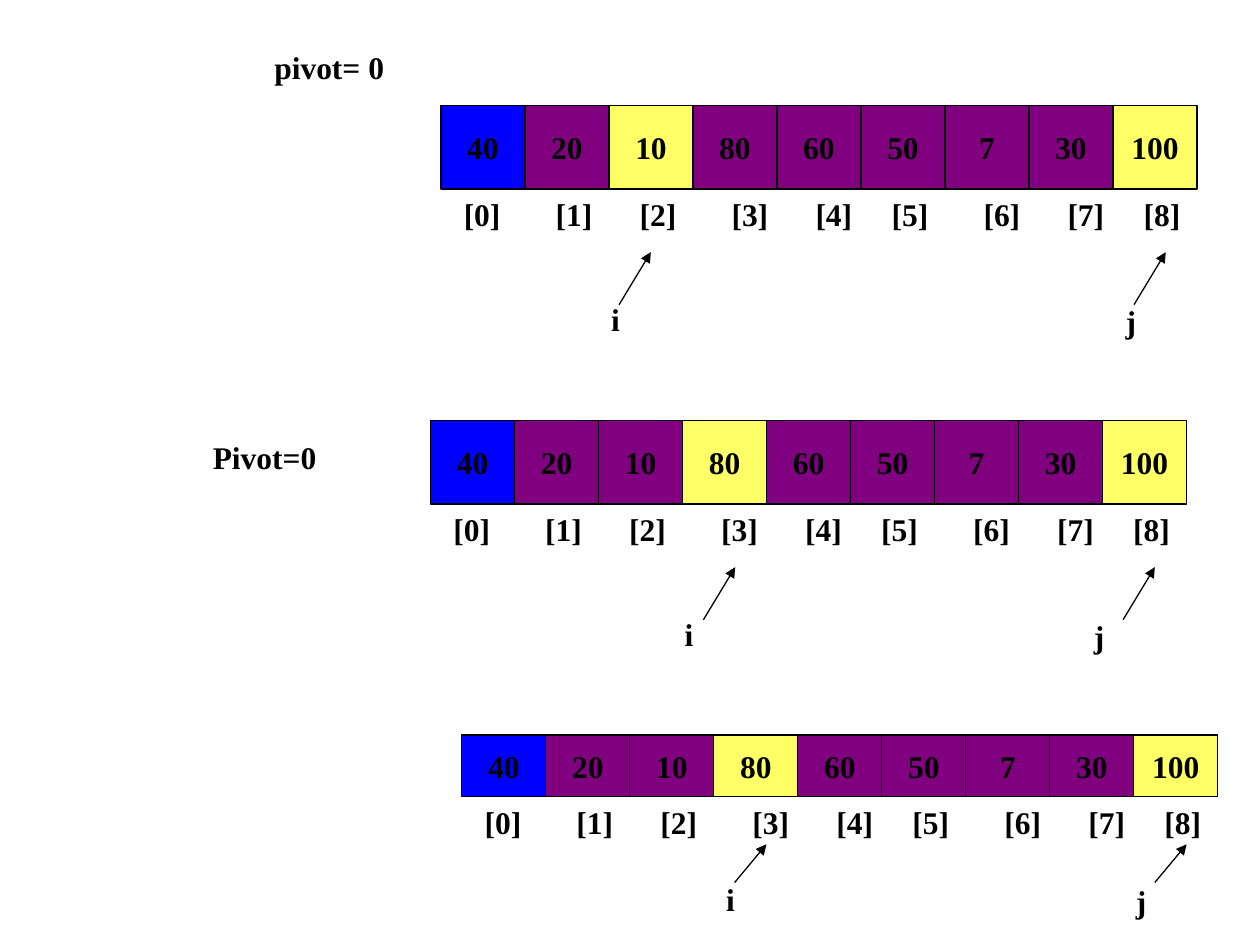
"""Build a slide that traces the i and j indices of a quicksort partition."""
from dataclasses import dataclass

from lxml.etree import SubElement
from pptx import Presentation
from pptx.dml.color import RGBColor
from pptx.enum.shapes import MSO_CONNECTOR, MSO_SHAPE
from pptx.enum.text import MSO_ANCHOR, PP_ALIGN
from pptx.oxml.ns import qn
from pptx.slide import Slide
from pptx.util import Cm, Pt

BLACK = RGBColor(0x00, 0x00, 0x00)
BLUE = RGBColor(0x00, 0x00, 0xFF)
PURPLE = RGBColor(0x80, 0x00, 0x80)
YELLOW = RGBColor(0xFF, 0xFF, 0x66)

SLIDE_WIDTH, SLIDE_HEIGHT = 25.4, 19.05
CELL_WIDTH = SLIDE_WIDTH / 15
TEXT_HEIGHT = 1.02
ARROW_RUN = 0.64

VALUES = (40, 20, 10, 80, 60, 50, 7, 30, 100)
INDEX_STEPS = (52.5, 48, 52.5, 48, 43.5, 52.5, 48, 43.5)

CAPTIONS = (("pivot= 0", 5.28, 0.84, 6.78), ("Pivot=0", 4.04, 8.71, 2.8))


@dataclass
class Pointer:
    """An arrow to an array element: tip and label offsets in centimetres."""
    name: str
    tip: float
    label_left: float
    label_top: float


@dataclass
class Stage:
    """One state of the array with its highlighted cells and pointers."""
    left: float
    top: float
    height: float
    highlighted: tuple
    arrow_gap: float
    arrow_rise: float
    pointers: tuple


STAGES = (
    Stage(8.89, 2.12, CELL_WIDTH, (2, 8), 1.27, 1.06,
          (Pointer("i", 13.12, 12.07, 5.93), Pointer("j", 23.5, 22.44, 5.97))),
    Stage(8.68, 8.47, CELL_WIDTH, (3, 8), 1.27, 1.06,
          (Pointer("i", 14.82, 13.55, 12.28), Pointer("j", 23.28, 21.8, 12.32))),
    Stage(9.31, 14.82, 1.24, (3, 8), 0.96, 0.77,
          (Pointer("i", 15.45, 14.39, 17.62), Pointer("j", 23.92, 22.65, 17.66))),
)


@dataclass
class Board:
    """Hold the text style and the slide being drawn."""
    page: Slide
    font_name: str = "Times New Roman"
    font_size: float = 18
    line_width: float = 0.75

    def style(self, para):
        """Apply the common font to a paragraph."""
        font = para.font
        font.name = self.font_name
        font.size = Pt(self.font_size)
        font.bold = True
        font.color.rgb = BLACK

    def cell(self, value, left, top, height, color):
        """Draw one array element."""
        box = self.page.shapes.add_shape(
            MSO_SHAPE.RECTANGLE, Cm(left), Cm(top), Cm(CELL_WIDTH), Cm(height))
        box.shadow.inherit = False
        box.fill.solid()
        box.fill.fore_color.rgb = color
        box.line.color.rgb = BLACK
        box.line.width = Pt(self.line_width)
        frame = box.text_frame
        frame.word_wrap = False
        frame.vertical_anchor = MSO_ANCHOR.MIDDLE
        para = frame.paragraphs[0]
        para.text = str(value)
        para.alignment = PP_ALIGN.CENTER
        self.style(para)

    def text(self, words, left, top, width, tab_steps=()):
        """Draw a text box, with tab stops at accumulated steps in points."""
        box = self.page.shapes.add_textbox(Cm(left), Cm(top), Cm(width), Cm(TEXT_HEIGHT))
        box.text_frame.word_wrap = True
        para = box.text_frame.paragraphs[0]
        para.text = words
        if tab_steps:
            tabs = SubElement(para._p.get_or_add_pPr(), qn("a:tabLst"))
            position = 0
            for step in tab_steps:
                position += step
                SubElement(tabs, qn("a:tab"), pos=str(Pt(position)), algn="l")
        self.style(para)

    def arrow(self, start_x, start_y, end_x, end_y):
        """Draw a thin line with a triangular head at its end."""
        line = self.page.shapes.add_connector(
            MSO_CONNECTOR.STRAIGHT, Cm(start_x), Cm(start_y), Cm(end_x), Cm(end_y))
        line.line.color.rgb = BLACK
        line.line.width = Pt(self.line_width)
        SubElement(line.line._get_or_add_ln(), qn("a:tailEnd"), type="triangle")
        SubElement(line._element.spPr, qn("a:effectLst"))

    def stage(self, stage):
        """Draw the array, its indices and its pointers."""
        for index, value in enumerate(VALUES):
            color = BLUE if index == 0 else YELLOW if index in stage.highlighted else PURPLE
            self.cell(value, stage.left + index * CELL_WIDTH, stage.top, stage.height, color)
        bottom = stage.top + stage.height
        indices = "\t".join(f"[{index}]" for index in range(len(VALUES)))
        self.text(indices, stage.left + 0.21, bottom, 15.2, INDEX_STEPS)
        tip_y = bottom + stage.arrow_gap
        for pointer in stage.pointers:
            self.arrow(pointer.tip - ARROW_RUN, tip_y + stage.arrow_rise, pointer.tip, tip_y)
            self.text(pointer.name, pointer.label_left, pointer.label_top, 0.95)


def main():
    """Create the deck and save it."""
    deck = Presentation()
    deck.slide_width, deck.slide_height = Cm(SLIDE_WIDTH), Cm(SLIDE_HEIGHT)
    board = Board(deck.slides.add_slide(deck.slide_layouts[6]))
    for stage in STAGES:
        board.stage(stage)
    for words, left, top, width in CAPTIONS:
        board.text(words, left, top, width)
    deck.save("out.pptx")


if __name__ == "__main__":
    main()
